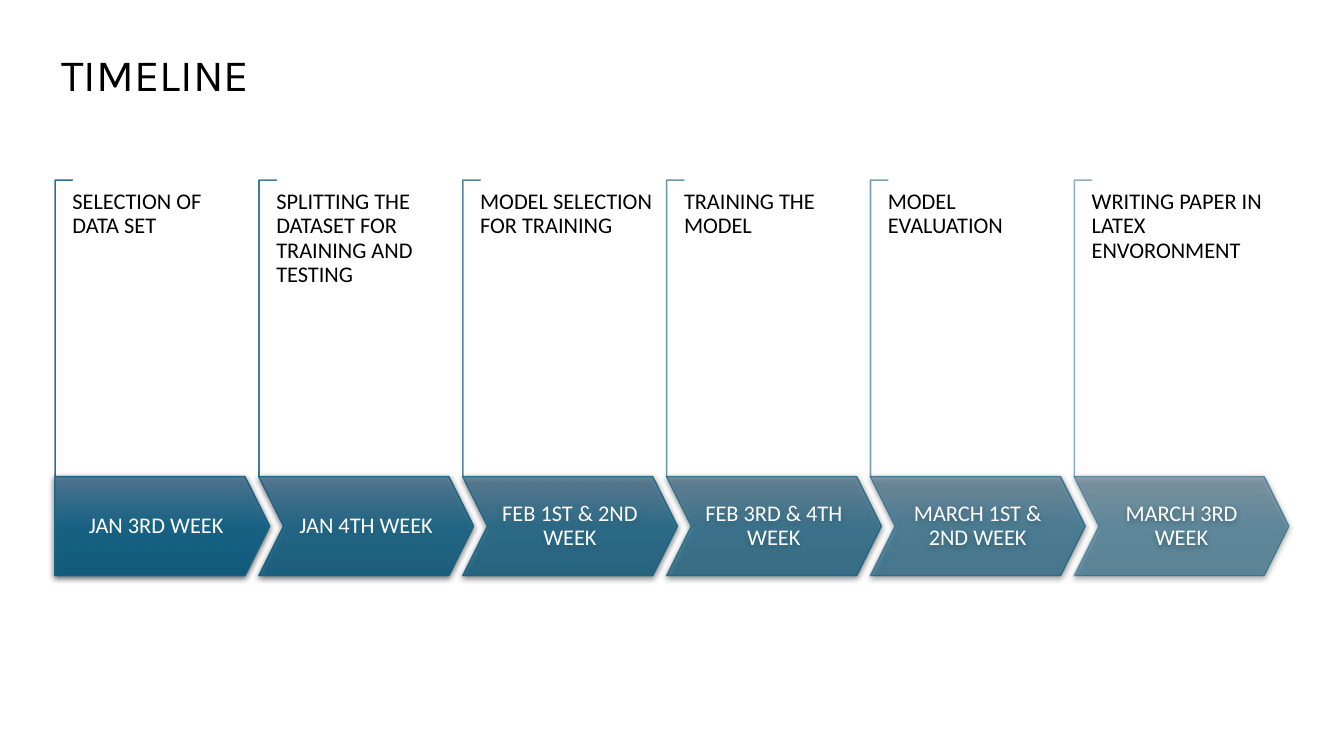
from dataclasses import dataclass

from lxml import etree
from pptx import Presentation
from pptx.dml.color import RGBColor
from pptx.enum import shapes, text
from pptx.oxml import ns
from pptx.shapes.autoshape import Shape
from pptx.slide import Slide
from pptx.text.text import TextFrame
from pptx.util import Pt


@dataclass(frozen=True)
class Theme:
    ink: str = "000000"
    paper: str = "FFFFFF"
    edge: str = "156082"
    grade: tuple[str, ...] = ("4C7591", "106287", "09597D")
    head: str = "Karla"
    body: str = "Calibri"
    big: float = 32
    small: float = 16


@dataclass(frozen=True)
class Step:
    date: str
    task: str


THEME = Theme()
KIND = shapes.MSO_SHAPE
STEPS = (
    Step("JAN 3RD WEEK", "SELECTION OF DATA SET"),
    Step("JAN 4TH WEEK", "SPLITTING THE DATASET FOR TRAINING AND TESTING"),
    Step("FEB 1ST & 2ND WEEK", "MODEL SELECTION FOR TRAINING"),
    Step("FEB 3RD & 4TH WEEK", "TRAINING THE MODEL"),
    Step("MARCH 1ST & 2ND WEEK", "MODEL EVALUATION"),
    Step("MARCH 3RD WEEK", "WRITING PAPER IN LATEX ENVORONMENT"),
)
LEFT, PITCH = 39.3, 145.6
TOP, BASE = 128.6, 340.5
ARROW_W, ARROW_H = 153.4, 70.7
HOOK = 12.5
LABEL_TOP, LABEL_W, LABEL_H = 136, 124.6, 197


def add(parent: etree.ElementBase, tag: str, **attrs: object) -> etree.ElementBase:
    """Append a DrawingML child element."""
    return etree.SubElement(
        parent, ns.qn(f"a:{tag}"), {k: str(v) for k, v in attrs.items()}
    )


def tint(parent: etree.ElementBase, color: str, alpha: int) -> None:
    """Append a colour with an opacity in percent."""
    add(add(parent, "srgbClr", val=color), "alpha", val=alpha * 1000)


def outline(shape: Shape, alpha: int) -> None:
    shape.line.width = Pt(1)
    shape.line.color.rgb = RGBColor.from_string(THEME.edge)
    color = shape._element.spPr.find(ns.qn("a:ln")).find(".//" + ns.qn("a:srgbClr"))
    add(color, "alpha", val=alpha * 1000)


def shade(shape: Shape, alpha: int) -> None:
    """Give a shape the vertical gradient and the soft shadow."""
    shape.fill.gradient()
    grad = shape._element.spPr.find(ns.qn("a:gradFill"))
    for child in list(grad):
        grad.remove(child)
    stops = add(grad, "gsLst")
    for i, color in enumerate(THEME.grade):
        tint(add(stops, "gs", pos=i * 50000), color, alpha)
    add(grad, "lin", ang=5400000, scaled=0)
    shape.shadow.inherit = False
    effects = shape._element.spPr.find(ns.qn("a:effectLst"))
    cast = add(effects, "outerShdw", blurRad=Pt(4.5), dist=Pt(1.5),
               dir=5400000, algn="ctr", rotWithShape=0)
    tint(cast, THEME.ink, 63)


def write(frame: TextFrame, words: str, color: str, align: text.PP_ALIGN,
          pad: tuple[float, float] = (0, 0)) -> None:
    frame.word_wrap = True
    frame.margin_left = frame.margin_right = Pt(pad[0])
    frame.margin_top = frame.margin_bottom = Pt(pad[1])
    para = frame.paragraphs[0]
    para.text = words
    para.alignment = align
    para.line_spacing = 0.9
    para.font.name, para.font.size = THEME.body, Pt(THEME.small)
    para.font.color.rgb = RGBColor.from_string(color)


def hook(slide: Slide, x: float, alpha: int) -> None:
    """Draw the thin bracket, an L shape turned a quarter clockwise."""
    span = BASE - TOP
    mid_x, mid_y = x + HOOK / 2, TOP + span / 2
    shape = slide.shapes.add_shape(
        KIND.CORNER, Pt(mid_x - span / 2), Pt(mid_y - HOOK / 2), Pt(span), Pt(HOOK))
    shape.rotation = 90
    shape.adjustments[0] = shape.adjustments[1] = 0.01
    shape.shadow.inherit = False
    shape.fill.solid()
    shape.fill.fore_color.rgb = RGBColor.from_string(THEME.paper)
    outline(shape, alpha)


def arrow(slide: Slide, x: float, kind: shapes.MSO_SHAPE, date: str, alpha: int) -> None:
    shape = slide.shapes.add_shape(kind, Pt(x), Pt(BASE), Pt(ARROW_W), Pt(ARROW_H))
    shape.adjustments[0] = 0.25
    shade(shape, alpha)
    outline(shape, alpha)
    frame = shape.text_frame
    frame.vertical_anchor = text.MSO_ANCHOR.MIDDLE
    write(frame, date, THEME.paper, text.PP_ALIGN.CENTER, (8, 16))


def label(slide: Slide, x: float, task: str) -> None:
    box = slide.shapes.add_textbox(
        Pt(x + HOOK), Pt(LABEL_TOP), Pt(LABEL_W), Pt(LABEL_H))
    write(box.text_frame, task, THEME.ink, text.PP_ALIGN.LEFT)


def title(slide: Slide, words: str) -> None:
    shape = slide.shapes.title
    shape.left, shape.top, shape.width, shape.height = Pt(36.7), Pt(29.5), Pt(310), Pt(46)
    frame = shape.text_frame
    frame.vertical_anchor = text.MSO_ANCHOR.TOP
    para = frame.paragraphs[0]
    para.text = words
    para.alignment = text.PP_ALIGN.LEFT
    para.font.name, para.font.size = THEME.head, Pt(THEME.big)
    para.font.color.rgb = RGBColor.from_string(THEME.ink)


def main() -> None:
    deck = Presentation()
    deck.slide_width, deck.slide_height = Pt(960), Pt(540)
    slide = deck.slides.add_slide(deck.slide_layouts[5])
    title(slide, "TIMELINE")
    for i, step in enumerate(STEPS):
        x, alpha = LEFT + i * PITCH, 90 - 8 * i
        hook(slide, x, alpha)
        arrow(slide, x, KIND.CHEVRON if i else KIND.PENTAGON, step.date, alpha)
        label(slide, x, step.task)
    deck.save("out.pptx")


if __name__ == "__main__":
    main()
